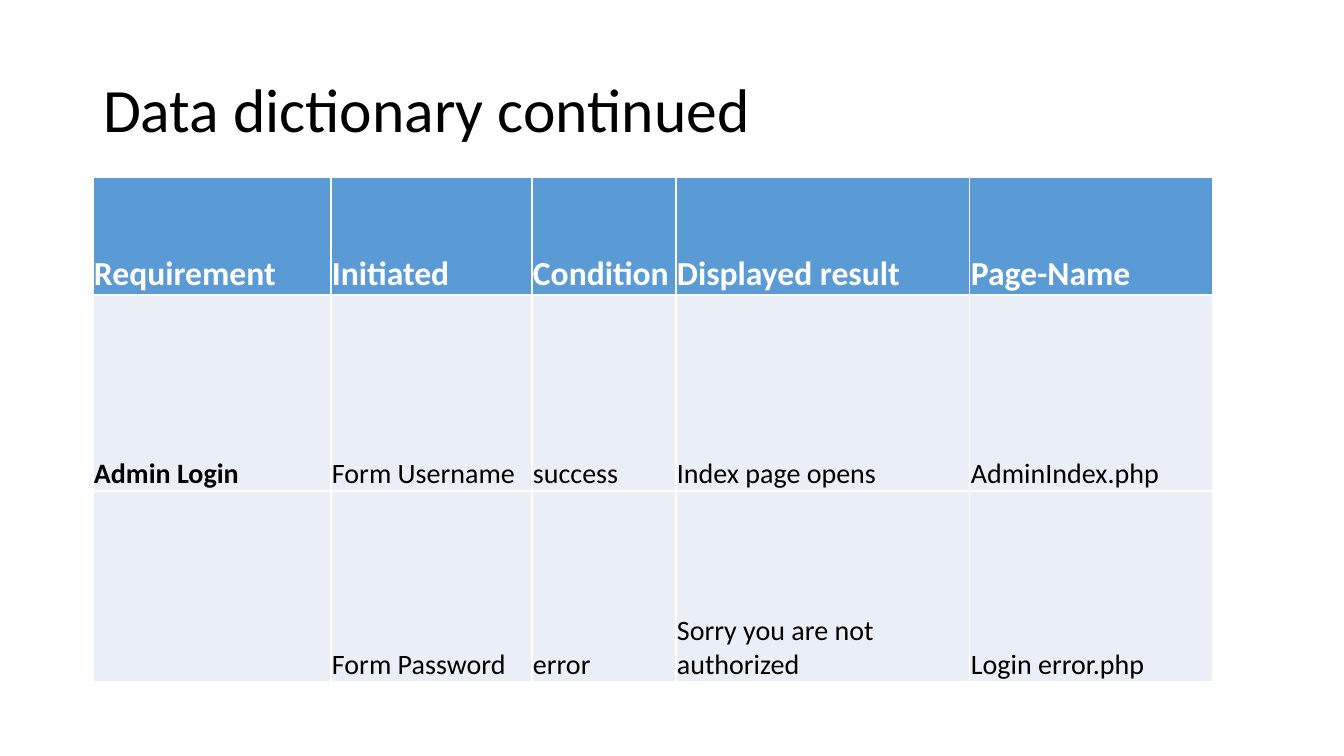
from lxml import etree
from pptx import Presentation
from pptx.dml.color import RGBColor
from pptx.enum.text import MSO_ANCHOR, PP_ALIGN
from pptx.oxml import parse_xml
from pptx.oxml.ns import nsdecls
from pptx.util import Pt

PX = 914400 / 100.8
LEFT = PP_ALIGN.LEFT
MIDDLE = MSO_ANCHOR.MIDDLE
BOTTOM = MSO_ANCHOR.BOTTOM
BLACK = RGBColor(0x00, 0x00, 0x00)
WHITE = RGBColor(0xFF, 0xFF, 0xFF)
BLUE = RGBColor(0x5B, 0x9B, 0xD5)
PALE = RGBColor(0xEA, 0xEF, 0xF7)


def px(n):
    return round(n * PX)


def write(frame, text, size=20, color=BLACK, bold=False, space=1.0):
    para = frame.paragraphs[0]
    para.alignment = LEFT
    para.line_spacing = space
    run = para.add_run()
    run.text = text
    run.font.name = "Calibri"
    run.font.size = Pt(size)
    run.font.bold = bold
    run.font.color.rgb = color


deck = Presentation()
deck.slide_width, deck.slide_height = px(1344), px(756)
slide = deck.slides.add_slide(deck.slide_layouts[5])

title = slide.shapes.title
title.left, title.top, title.width, title.height = px(93), px(40), px(1159), px(146)
title.text_frame.vertical_anchor = MIDDLE
write(title.text_frame, "Data dictionary continued", size=44, space=0.9)

rows = [
    ["Requirement", "Initiated", "Condition", "Displayed result", "Page-Name"],
    ["Admin Login", "Form Username", "success", "Index page opens", "AdminIndex.php"],
    ["", "Form Password", "error", "Sorry you are not authorized", "Login error.php"],
]
widths = [238, 201, 144, 294, 243]
heights = [118, 196, 191]
table = slide.shapes.add_table(
    len(rows), len(widths), px(93), px(177), px(sum(widths)), px(sum(heights))
).table
for col, width in zip(table.columns, widths):
    col.width = px(width)
for row, height in zip(table.rows, heights):
    row.height = px(height)

for r, row in enumerate(rows):
    head = r == 0
    for c, text in enumerate(row):
        cell = table.cell(r, c)
        cell.vertical_anchor = BOTTOM
        cell.margin_left = cell.margin_right = cell.margin_top = px(1)
        cell.margin_bottom = 0
        cell.fill.solid()
        cell.fill.fore_color.rgb = BLUE if head else PALE
        props = cell._tc.get_or_add_tcPr()
        for i, side in enumerate(["lnL", "lnR", "lnT", "lnB"]):
            line = parse_xml(f'<a:{side} {nsdecls("a")} w="{Pt(1)}"/>')
            fill = etree.SubElement(line, line.tag.replace(side, "solidFill"))
            etree.SubElement(fill, line.tag.replace(side, "srgbClr"), val=str(WHITE))
            props.insert(i, line)
        if text:
            write(cell.text_frame, text, size=24 if head else 20,
                  color=WHITE if head else BLACK, bold=head or c == 0)

deck.save("out.pptx")
